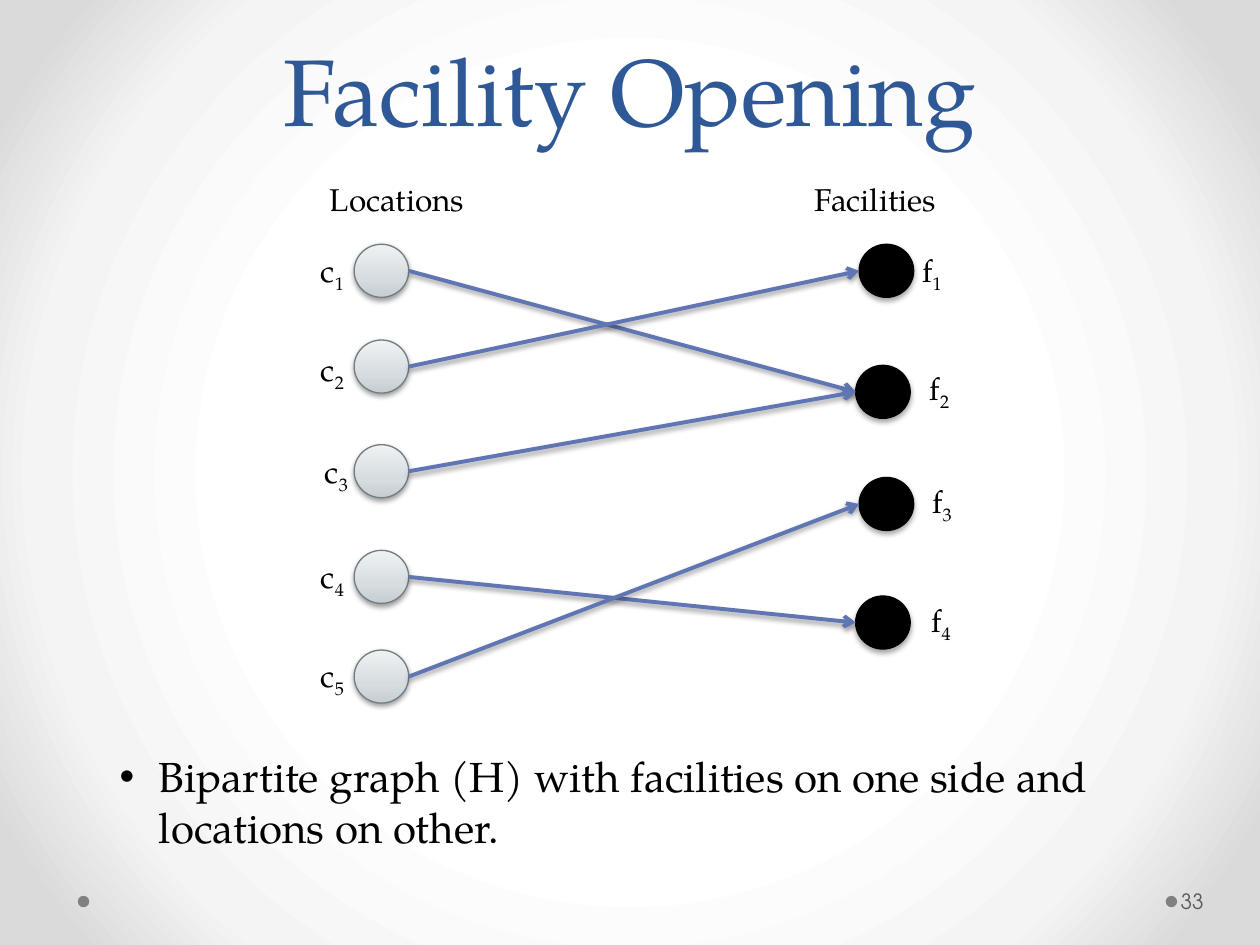
from pptx import Presentation
from pptx.dml.color import RGBColor
from pptx.enum.shapes import MSO_CONNECTOR as CONNECTOR, MSO_SHAPE as SHAPE
from pptx.enum.text import MSO_ANCHOR as ANCHOR, MSO_AUTO_SIZE as AUTO_SIZE, PP_ALIGN as ALIGN
from pptx.oxml import parse_xml
from pptx.oxml.ns import nsdecls, qn
from pptx.util import Cm, Pt

COLORS = {
    "title": "2F5897", "text": "000000", "number": "595959", "dot": "808080",
    "facility": "000000", "outline": "727D82", "arrow": "6076B4", "shadow": "000000",
}
BACKGROUND = [(50, "FFFFFF"), (76, "F4F4F4"), (92, "DADADA")]
LOCATION_FILL = [(0, "C5CED2"), (35, "D6DCDF"), (100, "EFF2F3")]
SERIF, SANS = "TeX Gyre Pagella", "TeX Gyre Adventor"

NODE_W, NODE_H = 1.1, 1.07
LOCATION_X = 7.14
# Node: centre y, then left and top of its label; facilities also have their own left.
LOCATIONS = {
    1: (5.46, 6.22, 4.93), 2: (7.39, 6.22, 6.93), 3: (9.5, 6.3, 8.99),
    4: (11.63, 6.22, 11.1), 5: (13.64, 6.22, 13.11),
}
FACILITIES = {
    1: (17.32, 5.46, 18.34, 4.93), 2: (17.25, 7.9, 18.49, 7.32),
    3: (17.32, 10.16, 18.54, 9.6), 4: (17.25, 12.55, 18.52, 11.99),
}
EDGES = [(1, 2), (3, 2), (4, 4), (2, 1), (5, 3)]


def rgb(name):
    return RGBColor.from_string(COLORS[name])


def gradient_xml(stops, direction):
    stop_xml = "".join(
        f'<a:gs pos="{pos * 1000}"><a:srgbClr val="{color}"/></a:gs>' for pos, color in stops)
    return parse_xml(f'<a:gradFill {nsdecls("a")} rotWithShape="1">'
                     f'<a:gsLst>{stop_xml}</a:gsLst>{direction}</a:gradFill>')


def set_gradient(fill, parent, stops, direction):
    fill.gradient()
    parent.replace(parent.find(qn("a:gradFill")), gradient_xml(stops, direction))


def paint_background(slide):
    fill = slide.background.fill
    circle = ('<a:path path="circle"><a:fillToRect l="50000" t="50000" '
              'r="50000" b="50000"/></a:path>')
    set_gradient(fill, slide.element.cSld.bg.bgPr, BACKGROUND, circle)


def add_shadow(properties, opacity=38, distance=1.6):
    """Replace the effects with a soft shadow that falls downwards."""
    for effects in properties.findall(qn("a:effectLst")):
        properties.remove(effects)
    properties.append(parse_xml(
        f'<a:effectLst {nsdecls("a")}><a:outerShdw blurRad="{Pt(3.1)}" dist="{Pt(distance)}" '
        f'dir="5400000" rotWithShape="0"><a:srgbClr val="{COLORS["shadow"]}">'
        f'<a:alpha val="{opacity * 1000}"/></a:srgbClr></a:outerShdw></a:effectLst>'))


def style_run(run, size, color="text", font=SERIF):
    run.font.size = Pt(size)
    run.font.name = font
    run.font.color.rgb = rgb(color)


def place(item, left, top, width, height):
    item.left, item.top, item.width, item.height = map(Cm, (left, top, width, height))


def add_circle(slide, left, top, width, height):
    circle = slide.shapes.add_shape(SHAPE.OVAL, *map(Cm, (left, top, width, height)))
    circle.shadow.inherit = False
    return circle


def add_dot(slide, left):
    dot = add_circle(slide, left, 18.06, 0.23, 0.23)
    dot.fill.solid()
    dot.fill.fore_color.rgb = rgb("dot")
    dot.line.fill.background()


def add_node(slide, left, center_y):
    node = add_circle(slide, left, center_y - NODE_H / 2, NODE_W, NODE_H)
    node.line.width = Pt(0.75)
    return node


def add_location(slide, center_y):
    location = add_node(slide, LOCATION_X, center_y)
    properties = location._element.spPr
    set_gradient(location.fill, properties, LOCATION_FILL, '<a:lin ang="16200000" scaled="0"/>')
    location.line.color.rgb = rgb("outline")
    add_shadow(properties)


def add_facility(slide, left, center_y):
    facility = add_node(slide, left, center_y)
    facility.fill.solid()
    facility.fill.fore_color.rgb = rgb("facility")
    facility.line.color.rgb = rgb("facility")
    add_shadow(facility._element.spPr, 35, 1.8)


def add_edge(slide, location, facility):
    end_x, end_y = FACILITIES[facility][:2]
    start = LOCATION_X + NODE_W, LOCATIONS[location][0]
    edge = slide.shapes.add_connector(
        CONNECTOR.STRAIGHT, *map(Cm, (*start, end_x, end_y)))
    edge.line.color.rgb = rgb("arrow")
    edge.line.width = Pt(2.25)
    edge.line._get_or_add_ln().append(parse_xml(f'<a:tailEnd {nsdecls("a")} type="arrow"/>'))
    add_shadow(edge._element.spPr)


def add_text(slide, text, left, top, width, size=18, color="text", font=SERIF):
    box = slide.shapes.add_textbox(*map(Cm, (left, top, width, 1.03)))
    frame = box.text_frame
    frame.word_wrap = True
    frame.text = text
    style_run(frame.paragraphs[0].runs[0], size, color, font)
    return frame


def add_label(slide, letter, index, left, top):
    """Write a letter with its index as a subscript."""
    paragraph = add_text(slide, letter, left, top, 1.37).paragraphs[0]
    subscript = paragraph.add_run()
    subscript.text = str(index)
    style_run(subscript, 18)
    subscript._r.get_or_add_rPr().set("baseline", "-25000")


def fill_title(title):
    place(title, 1.27, -1.4, 22.86, 4.45)
    frame = title.text_frame
    frame.text = "Facility Opening"
    frame.auto_size = AUTO_SIZE.NONE
    frame.vertical_anchor = ANCHOR.BOTTOM
    paragraph = frame.paragraphs[0]
    paragraph.alignment = ALIGN.CENTER
    paragraph.line_spacing = Pt(58)
    style_run(paragraph.runs[0], 54, "title")


def fill_body(body):
    place(body, 2.16, 15.01, 20.09, 2.31)
    frame = body.text_frame
    frame.text = "Bipartite graph (H) with facilities on one side and locations on other."
    frame.auto_size = AUTO_SIZE.NONE
    paragraph = frame.paragraphs[0]
    paragraph.space_before = Pt(0)
    properties = paragraph._p.get_or_add_pPr()
    properties.set("marL", str(Cm(0.79)))
    properties.set("indent", str(Cm(-0.79)))
    properties.append(parse_xml(f'<a:buFont {nsdecls("a")} typeface="Arial"/>'))
    properties.append(parse_xml(f'<a:buChar {nsdecls("a")} char="•"/>'))
    style_run(paragraph.runs[0], 24)


def add_slide_number(slide):
    frame = add_text(slide, "33", 23.72, 17.65, 1.55, 12, "number", SANS)
    frame.vertical_anchor = ANCHOR.MIDDLE
    frame.margin_left = Cm(0.08)
    frame.margin_right = Cm(0.13)


def main():
    deck = Presentation()
    deck.slide_width, deck.slide_height = Cm(25.4), Cm(19.05)
    slide = deck.slides.add_slide(deck.slide_layouts[1])
    paint_background(slide)
    fill_title(slide.shapes.title)
    fill_body(slide.placeholders[1])

    for left in (23.5, 1.57):
        add_dot(slide, left)
    for center_y, _, _ in LOCATIONS.values():
        add_location(slide, center_y)
    for left, center_y, _, _ in FACILITIES.values():
        add_facility(slide, left, center_y)
    for location, facility in EDGES:
        add_edge(slide, location, facility)

    add_text(slide, "Locations", 6.4, 3.51, 3.71)
    add_text(slide, "Facilities", 16.18, 3.51, 3.71)
    for index, (_, left, top) in LOCATIONS.items():
        add_label(slide, "c", index, left, top)
    for index, (_, _, left, top) in FACILITIES.items():
        add_label(slide, "f", index, left, top)
    add_slide_number(slide)
    deck.save("out.pptx")


if __name__ == "__main__":
    main()
